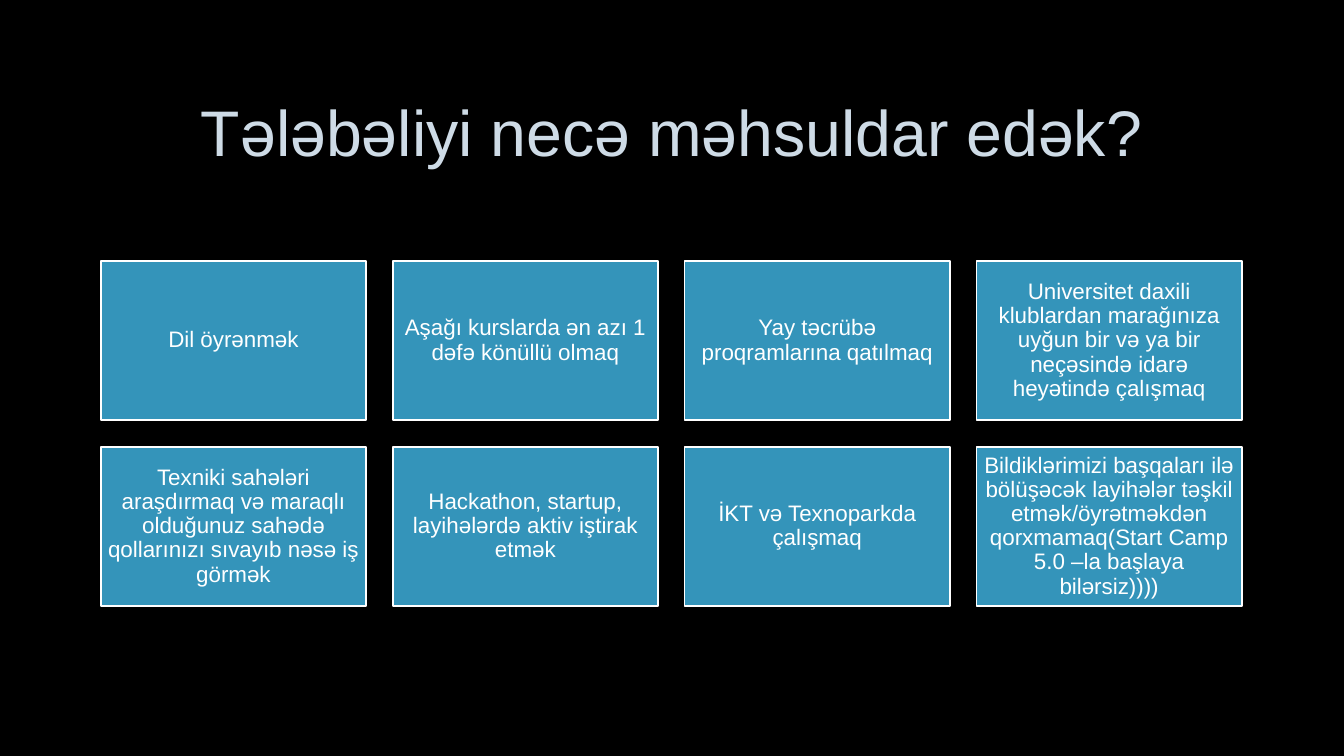
from dataclasses import dataclass

from pptx import Presentation
from pptx.dml.color import RGBColor
from pptx.enum.shapes import MSO_SHAPE
from pptx.enum.text import MSO_ANCHOR, PP_ALIGN
from pptx.util import Pt


@dataclass(frozen=True)
class Theme:
    font: str = "Arial"
    background: RGBColor = RGBColor(0x00, 0x00, 0x00)
    title: RGBColor = RGBColor(0xCE, 0xDB, 0xE6)
    card: RGBColor = RGBColor(0x34, 0x94, 0xBA)
    white: RGBColor = RGBColor(0xFF, 0xFF, 0xFF)
    title_size: int = 46
    card_size: int = 16


theme = Theme()

tips = [
    "Dil öyrənmək",
    "Aşağı kurslarda ən azı 1 dəfə könüllü olmaq",
    "Yay təcrübə proqramlarına qatılmaq",
    "Universitet daxili klublardan marağınıza uyğun bir və ya bir neçəsində idarə heyətində çalışmaq",
    "Texniki sahələri araşdırmaq və maraqlı olduğunuz sahədə qollarınızı sıvayıb nəsə iş görmək",
    "Hackathon, startup, layihələrdə aktiv iştirak etmək",
    "İKT və Texnoparkda çalışmaq",
    "Bildiklərimizi başqaları ilə bölüşəcək layihələr təşkil etmək/öyrətməkdən qorxmamaq(Start Camp 5.0 –la başlaya bilərsiz))))",
]


def set_text(sp, text, size, color):
    tf = sp.text_frame
    tf.word_wrap = True
    tf.vertical_anchor = MSO_ANCHOR.MIDDLE
    p = tf.paragraphs[0]
    p.text = text
    p.alignment = PP_ALIGN.CENTER
    p.line_spacing = 0.9
    p.font.name = theme.font
    p.font.size = Pt(size)
    p.font.color.rgb = color
    return tf


prs = Presentation()
prs.slide_width, prs.slide_height = Pt(960), Pt(540)
s = prs.slides.add_slide(prs.slide_layouts[6])
s.background.fill.solid()
s.background.fill.fore_color.rgb = theme.background

left, width = 72, 815
title = s.shapes.add_textbox(Pt(left), Pt(48), Pt(width), Pt(98))
set_text(title, "Tələbəliyi necə məhsuldar edək?", theme.title_size, theme.title)

columns = 4
gap = 19
top = 186.5
card_w = (width - gap * (columns - 1)) / columns
card_h = card_w * 0.6

for i, tip in enumerate(tips):
    row, col = divmod(i, columns)
    sp = s.shapes.add_shape(
        MSO_SHAPE.RECTANGLE,
        Pt(left + col * (card_w + gap)),
        Pt(top + row * (card_h + gap)),
        Pt(card_w),
        Pt(card_h),
    )
    sp.shadow.inherit = False
    sp.fill.solid()
    sp.fill.fore_color.rgb = theme.card
    sp.line.color.rgb = theme.white
    sp.line.width = Pt(1.25)
    tf = set_text(sp, tip, theme.card_size, theme.white)
    tf.margin_left = tf.margin_right = tf.margin_top = tf.margin_bottom = Pt(4.8)

prs.save("out.pptx")
